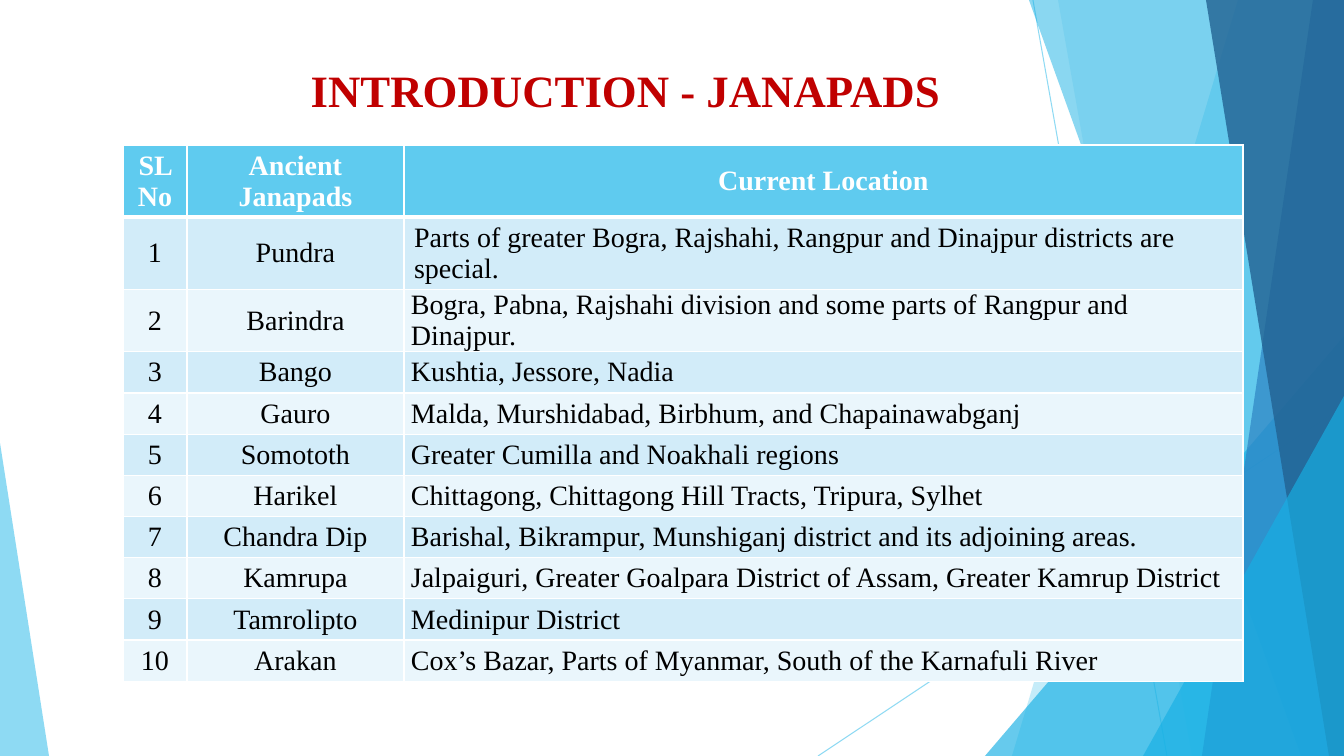
from dataclasses import dataclass

from lxml import etree
from pptx import Presentation
from pptx.dml.color import RGBColor
from pptx.enum.shapes import MSO_CONNECTOR, MSO_SHAPE
from pptx.enum.text import MSO_ANCHOR, PP_ALIGN
from pptx.oxml.ns import qn
from pptx.util import Pt

STRAIGHT = MSO_CONNECTOR.STRAIGHT
TRIANGLE = MSO_SHAPE.ISOSCELES_TRIANGLE
CENTER, LEFT = PP_ALIGN.CENTER, PP_ALIGN.LEFT
TOP, MIDDLE = MSO_ANCHOR.TOP, MSO_ANCHOR.MIDDLE

SLIDE_W, SLIDE_H = 1344, 756
EMU_PER_PX = 12192000 / SLIDE_W


@dataclass(frozen=True)
class Theme:
    font: str = "Times New Roman"
    title_size: int = 32
    table_size: int = 20
    title: str = "C00000"
    sky: str = "5FCBEF"
    cyan: str = "17B0E4"
    blue: str = "2E83C3"
    navy: str = "226292"
    white: str = "FFFFFF"
    black: str = "000000"
    bands: tuple = ("D2ECF9", "EAF6FC")


THEME = Theme()

# Top x, bottom x, colour, opacity; each panel reaches the right edge.
PANELS = [
    (1238, 1012, THEME.sky, 36),
    (1058, 1192, THEME.sky, 20),
    (1029, 1301, THEME.cyan, 50),
    (1313, 1202, THEME.blue, 70),
    (1206, 1329, THEME.navy, 80),
]

HEADER = ("SL No", "Ancient Janapads", "Current Location")
JANAPADS = [
    ("Pundra", "Parts of greater Bogra, Rajshahi, Rangpur and Dinajpur districts are special."),
    ("Barindra", "Bogra, Pabna, Rajshahi division and some parts of Rangpur and Dinajpur."),
    ("Bango", "Kushtia, Jessore, Nadia"),
    ("Gauro", "Malda, Murshidabad, Birbhum, and Chapainawabganj"),
    ("Somototh", "Greater Cumilla and Noakhali regions"),
    ("Harikel", "Chittagong, Chittagong Hill Tracts, Tripura, Sylhet"),
    ("Chandra Dip", "Barishal, Bikrampur, Munshiganj district and its adjoining areas."),
    ("Kamrupa", "Jalpaiguri, Greater Goalpara District of Assam, Greater Kamrup District"),
    ("Tamrolipto", "Medinipur District"),
    ("Arakan", "Cox’s Bazar, Parts of Myanmar, South of the Karnafuli River"),
]
COLUMN_WIDTHS = (64, 217, 839)
ROW_HEIGHTS = [72, 72, 62] + [41] * 8


def px(length):
    return round(length * EMU_PER_PX)


def set_opacity(color_parent, percent):
    """Make the solid fill found below an element partly transparent."""
    color = color_parent.find(".//" + qn("a:srgbClr"))
    etree.SubElement(color, qn("a:alpha"), val=str(percent * 1000))


def paint(shape, color, opacity):
    shape.shadow.inherit = False
    shape.fill.solid()
    shape.fill.fore_color.rgb = RGBColor.from_string(color)
    set_opacity(shape.element.spPr, opacity)
    shape.line.fill.background()


def add_ray(slide, x1, y1, x2, y2):
    ray = slide.shapes.add_connector(STRAIGHT, px(x1), px(y1), px(x2), px(y2))
    ray.line.color.rgb = RGBColor.from_string(THEME.sky)
    ray.line.width = Pt(0.75)
    properties = ray.element.spPr
    set_opacity(properties, 70)
    etree.SubElement(properties, qn("a:effectLst"))


def add_panel(slide, top_x, bottom_x, color, opacity):
    builder = slide.shapes.build_freeform(top_x, 0, EMU_PER_PX)
    builder.add_line_segments([(SLIDE_W, 0), (SLIDE_W, SLIDE_H), (bottom_x, SLIDE_H)])
    paint(builder.convert_to_shape(), color, opacity)


def add_corner(slide, left, top, width, apex, color, opacity):
    """Add a right triangle standing on the slide's bottom edge."""
    corner = slide.shapes.add_shape(
        TRIANGLE, px(left), px(top), px(width), px(SLIDE_H - top))
    corner.adjustments[0] = apex
    paint(corner, color, opacity)


def add_backdrop(slide):
    add_ray(slide, 1033, 0, 1167, SLIDE_H)
    add_ray(slide, SLIDE_W, 406, 818, SLIDE_H)
    for index, panel in enumerate(PANELS):
        if index == 2:
            add_corner(slide, 985, 336, 359, 1, THEME.cyan, 66)
        add_panel(slide, *panel)
    add_corner(slide, 1143, 396, 201, 1, THEME.cyan, 66)
    add_corner(slide, 0, 443, 49, 0, THEME.sky, 70)


def write(frame, text, size, color, bold, align):
    paragraph = frame.paragraphs[0]
    paragraph.alignment = align
    run = paragraph.add_run()
    run.text = text
    run.font.name = THEME.font
    run.font.size = Pt(size)
    run.font.bold = bold
    run.font.color.rgb = RGBColor.from_string(color)


def add_title(slide, text):
    title = slide.shapes.title
    slide.shapes.element.append(title.element)  # in front of the backdrop
    title.left, title.top, title.width, title.height = map(px, (178, 53, 895, 92))
    frame = title.text_frame
    frame.word_wrap = True
    frame.vertical_anchor = TOP
    frame.margin_top = px(10)
    write(frame, text, THEME.title_size, THEME.title, True, CENTER)


def set_borders(cell, top, bottom):
    """Give a cell white borders; top and bottom widths are in points."""
    properties = cell._tc.get_or_add_tcPr()
    sides = (("L", 1), ("R", 1), ("T", top), ("B", bottom))
    for index, (side, width) in enumerate(sides):
        border = etree.Element(qn(f"a:ln{side}"), w=str(Pt(width)))
        fill = etree.SubElement(border, qn("a:solidFill"))
        etree.SubElement(fill, qn("a:srgbClr"), val=THEME.white)
        properties.insert(index, border)


def format_cell(cell, text, row, column):
    is_header = row == 0
    cell.vertical_anchor = MIDDLE
    if row > 1 and column > 0:
        cell.margin_left = cell.margin_right = px(7)
        cell.margin_top = cell.margin_bottom = 0
    cell.fill.solid()
    band = THEME.sky if is_header else THEME.bands[(row - 1) % 2]
    cell.fill.fore_color.rgb = RGBColor.from_string(band)
    set_borders(cell, 3 if row == 1 else 1, 3 if is_header else 1)
    color = THEME.white if is_header else THEME.black
    align = CENTER if is_header or column < 2 else LEFT
    write(cell.text_frame, text, THEME.table_size, color, is_header, align)


def add_janapad_table(slide):
    rows = [HEADER] + [(str(number), *janapad)
                       for number, janapad in enumerate(JANAPADS, 1)]
    table = slide.shapes.add_table(
        len(rows), len(HEADER), px(123), px(145),
        px(sum(COLUMN_WIDTHS)), px(sum(ROW_HEIGHTS))).table
    for column, width in zip(table.columns, COLUMN_WIDTHS):
        column.width = px(width)
    for row, height in zip(table.rows, ROW_HEIGHTS):
        row.height = px(height)
    for r, texts in enumerate(rows):
        for c, text in enumerate(texts):
            format_cell(table.cell(r, c), text, r, c)


def main():
    deck = Presentation()
    deck.slide_width, deck.slide_height = px(SLIDE_W), px(SLIDE_H)
    slide = deck.slides.add_slide(deck.slide_layouts[5])
    add_backdrop(slide)
    add_title(slide, "INTRODUCTION - JANAPADS")
    add_janapad_table(slide)
    deck.save("out.pptx")


if __name__ == "__main__":
    main()
